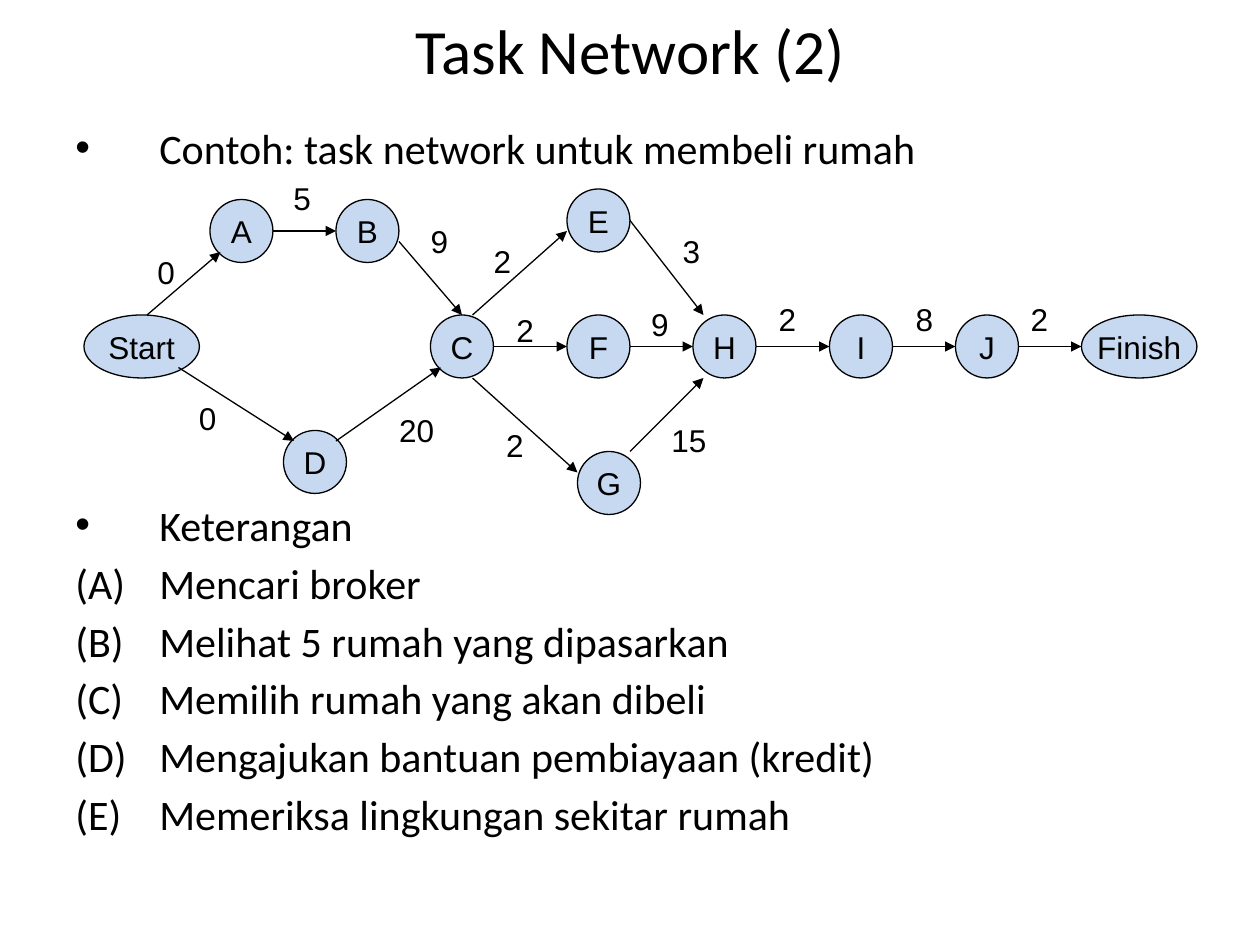
from dataclasses import dataclass

import pptx
import pptx.dml.color
import pptx.enum.shapes
import pptx.enum.text
import pptx.oxml.ns
import pptx.util
from lxml import etree

Pt = pptx.util.Pt
BLACK = "000000"
NODE_FILL = "C6D9F1"
NODE_HEIGHT = 36
INDENT = 48


@dataclass
class Node:
    name: str
    left: float
    top: float
    width: float = NODE_HEIGHT


@dataclass
class Edge:
    start: tuple[float, float]
    end: tuple[float, float]
    duration: str
    label: tuple[float, float]  # top left corner of the duration


@dataclass
class Entry:
    text: str
    space_before: float = 4.3
    bullet: bool = False


NODES = [
    Node("Start", 48, 180, 66),
    Node("A", 120, 114),
    Node("B", 192, 114),
    Node("C", 246, 180),
    Node("D", 162, 246),
    Node("E", 324, 108),
    Node("F", 324, 180),
    Node("G", 330, 258),
    Node("H", 396, 180),
    Node("I", 474, 180),
    Node("J", 546, 180),
    Node("Finish", 618, 180, 66),
]

EDGES = [
    Edge((84, 180), (126, 144), "0", (82.8, 141.1)),
    Edge((102, 210), (168, 252), "0", (106.6, 224.6)),
    Edge((156, 132), (192, 132), "5", (160.6, 98.6)),
    Edge((192, 252), (252, 210), "20", (221, 231.1)),
    Edge((228, 138), (264, 180), "9", (239, 123.1)),
    Edge((270, 216), (330, 270), "2", (282.2, 239.8)),
    Edge((282, 198), (324, 198), "2", (288, 174.2)),
    Edge((270, 180), (324, 132), "2", (275, 134.6)),
    Edge((360, 126), (402, 180), "3", (383, 128.9)),
    Edge((360, 198), (396, 198), "9", (365, 170.6)),
    Edge((360, 258), (402, 216), "15", (376.6, 236.9)),
    Edge((432, 198), (474, 198), "2", (437.8, 167.8)),
    Edge((510, 198), (546, 198), "8", (516.2, 167.8)),
    Edge((582, 198), (618, 198), "2", (581.8, 167.8)),
]

ENTRIES = [
    Entry("Contoh: task network untuk membeli rumah", 0, True),
    Entry("Keterangan", 186.7, True),  # leaves room for the network
    Entry("(A)\tMencari broker"),
    Entry("(B)\tMelihat 5 rumah yang dipasarkan"),
    Entry("(C)\tMemilih rumah yang akan dibeli"),
    Entry("(D)\tMengajukan bantuan pembiayaan (kredit)"),
    Entry("(E)\tMemeriksa lingkungan sekitar rumah"),
]


def color(value: str) -> pptx.dml.color.RGBColor:
    return pptx.dml.color.RGBColor.from_string(value)


def add_run(paragraph, text: str, size: float, font: str) -> None:
    run = paragraph.add_run()
    run.text = text
    run.font.size = Pt(size)
    run.font.name = font
    run.font.color.rgb = color(BLACK)


def add_element(parent, tag: str, **attributes: str) -> None:
    etree.SubElement(parent, pptx.oxml.ns.qn(tag), attributes)


def set_title(slide, text: str) -> None:
    title = slide.shapes.title
    title.left, title.top, title.width, title.height = Pt(36), Pt(0), Pt(648), Pt(56)
    title.text_frame.vertical_anchor = pptx.enum.text.MSO_ANCHOR.MIDDLE
    paragraph = title.text_frame.paragraphs[0]
    paragraph.alignment = pptx.enum.text.PP_ALIGN.CENTER
    add_run(paragraph, text, 36, "Calibri")


def add_entries(slide, entries: list[Entry]) -> None:
    frame = slide.shapes.add_textbox(Pt(36), Pt(66.2), Pt(648), Pt(450)).text_frame
    frame.word_wrap = True
    for index, entry in enumerate(entries):
        paragraph = frame.add_paragraph() if index else frame.paragraphs[0]
        paragraph.space_before = Pt(entry.space_before)
        properties = paragraph._p.get_or_add_pPr()
        properties.set("marL", str(Pt(INDENT)))
        properties.set("indent", str(Pt(-INDENT)))
        if entry.bullet:
            add_element(properties, "a:buFont", typeface="Arial")
            add_element(properties, "a:buChar", char="•")
        add_run(paragraph, entry.text, 24, "Calibri")


def add_node(slide, node: Node) -> None:
    shape = slide.shapes.add_shape(
        pptx.enum.shapes.MSO_SHAPE.OVAL,
        Pt(node.left), Pt(node.top), Pt(node.width), Pt(NODE_HEIGHT),
    )
    shape.shadow.inherit = False
    shape.fill.solid()
    shape.fill.fore_color.rgb = color(NODE_FILL)
    shape.line.color.rgb = color(BLACK)
    shape.line.width = Pt(0.75)
    frame = shape.text_frame
    frame.word_wrap = False
    frame.vertical_anchor = pptx.enum.text.MSO_ANCHOR.MIDDLE
    frame.paragraphs[0].alignment = pptx.enum.text.PP_ALIGN.CENTER
    add_run(frame.paragraphs[0], node.name, 18, "Arial")


def add_edge(slide, edge: Edge) -> None:
    connector = slide.shapes.add_connector(
        pptx.enum.shapes.MSO_CONNECTOR.STRAIGHT,
        *(Pt(value) for value in edge.start + edge.end),
    )
    connector.line.color.rgb = color(BLACK)
    connector.line.width = Pt(0.75)
    add_element(connector.line._get_or_add_ln(), "a:tailEnd", type="triangle")
    add_element(connector._element.spPr, "a:effectLst")


def add_duration(slide, edge: Edge) -> None:
    left, top = edge.label
    width = 14.4 + 10 * len(edge.duration)
    frame = slide.shapes.add_textbox(Pt(left), Pt(top), Pt(width), Pt(28.8)).text_frame
    frame.word_wrap = False
    frame.auto_size = pptx.enum.text.MSO_AUTO_SIZE.SHAPE_TO_FIT_TEXT
    add_run(frame.paragraphs[0], edge.duration, 18, "Arial")


def main() -> None:
    presentation = pptx.Presentation()
    presentation.slide_width, presentation.slide_height = Pt(720), Pt(540)
    slide = presentation.slides.add_slide(presentation.slide_layouts[5])

    # Title and explanation
    set_title(slide, "Task Network (2)")
    add_entries(slide, ENTRIES)

    # Task network
    for node in NODES:
        add_node(slide, node)
    for edge in EDGES:
        add_edge(slide, edge)
    for edge in EDGES:
        add_duration(slide, edge)

    presentation.save("out.pptx")


if __name__ == "__main__":
    main()
